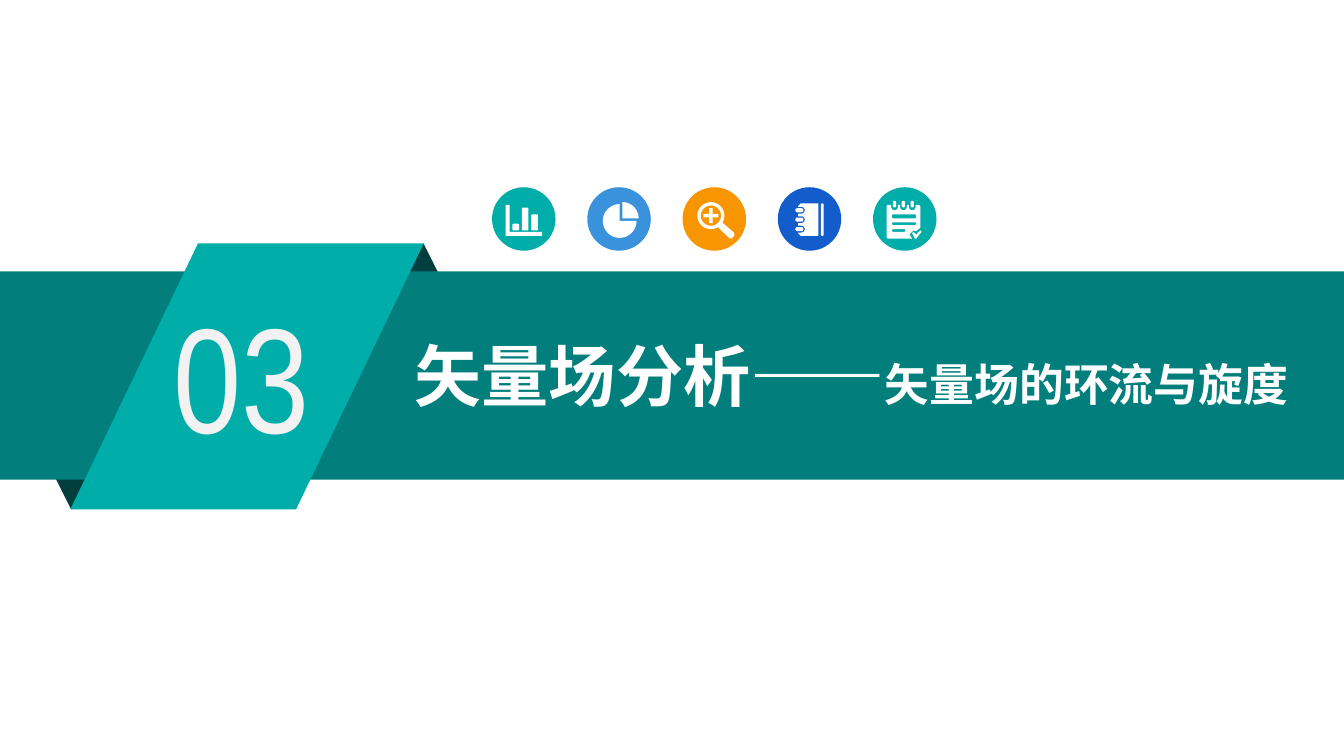
from dataclasses import dataclass
from math import cos, radians, sin

from lxml import etree
from pptx import Presentation
from pptx import util as u
from pptx.dml.color import RGBColor
from pptx.enum import shapes, text
from pptx.oxml.ns import qn

SHAPE = shapes.MSO_SHAPE
GRID = 47  # icon units across one badge


@dataclass(frozen=True)
class Theme:
    band: str = "027F7D"
    ribbon: str = "00ADA9"
    fold: str = "013F3F"
    sky: str = "3992DB"
    orange: str = "F79600"
    blue: str = "125CCB"
    white: str = "FFFFFF"
    pale: str = "F2F2F2"
    number_font: str = "Arial Narrow"
    title_font: str = "Noto Sans CJK SC"
    number_size: int = 80
    title_size: int = 36
    subtitle_size: int = 24


def arc(cx, cy, r, start=0, end=360, steps=32):
    """Points on a circle; angles run clockwise from the right."""
    angles = [radians(start + (end - start) * i / steps) for i in range(steps + 1)]
    return [(cx + r * cos(a), cy + r * sin(a)) for a in angles]


def box(x, y, w, h, r=1):
    """Outline of a rounded rectangle."""
    corners = [(x + r, y + r, 180), (x + w - r, y + r, 270),
               (x + w - r, y + h - r, 0), (x + r, y + h - r, 90)]
    return [p for cx, cy, a in corners for p in arc(cx, cy, r, a, a + 90, 6)]


def bar_chart():
    axes = [(10, 13), (13, 13), (13, 33), (37, 33), (37, 36), (10, 36)]
    return [axes, box(15, 27, 5, 5), box(22, 15, 5, 17), box(29, 20, 5, 12)]


def pie_chart():
    return [[(26, 23)] + arc(26, 23, 12, -90, 0),
            [(24, 25)] + arc(24, 25, 12.5, 0, 270)]


def magnifier():
    c, arm, half = 21, 5.5, 1.3
    plus = [(c - half, c - arm), (c + half, c - arm), (c + half, c - half),
            (c + arm, c - half), (c + arm, c + half), (c + half, c + half),
            (c + half, c + arm), (c - half, c + arm), (c - half, c + half),
            (c - arm, c + half), (c - arm, c - half), (c - half, c - half)]
    handle = [(26.2, 29.5), (28.1, 28.1), (29.5, 26.2), (38, 33.5),
              (38.5, 35.5), (36.5, 38), (34.5, 37.5)]
    return [arc(c, c, 10), arc(c, c, 7.5), plus, handle]


def notebook():
    coils = (31, 24, 17)
    cover = [(15, 14), (17, 12), (30, 12), (30, 36), (17, 36), (15, 34)]
    for y in coils:
        cover += [(15, y + 2.5)] + arc(17.5, y, 2.5, 90, -90) + [(15, y - 2.5)]
    return [cover, box(32, 12, 2, 24)] + [box(13, y - 1.5, 6, 3, 1.5) for y in coils]


def checklist():
    rings = (16, 22.5, 29)
    page = [(10, 14), (11, 13)]
    for x in rings:
        page += [(x - 2.5, 13)] + arc(x, 14.5, 2.5, 180, 0) + [(x + 2.5, 13)]
    page += [(34, 13), (35, 14), (35, 30), (32, 32.5), (30, 32), (27, 35),
             (29, 38), (11, 38), (10, 37)]
    tick = [(29, 34), (30, 33), (32, 35), (35, 32), (36, 33), (32, 38), (31, 38)]
    lines = [box(14, 20, 18, 3), box(14, 26, 18, 2), box(14, 31, 10, 2)]
    return [page, tick] + lines + [box(x - 1.2, 10, 2.4, 5, 1.2) for x in rings]


class SlideBuilder:
    def __init__(self, slide, theme):
        self.slide = slide
        self.theme = theme

    def paint(self, shape, color):
        shape.shadow.inherit = False
        shape.fill.solid()
        shape.fill.fore_color.rgb = RGBColor.from_string(color)
        shape.line.fill.background()
        return shape

    def block(self, kind, color, left, top, width, height):
        shape = self.slide.shapes.add_shape(
            kind, u.Cm(left), u.Cm(top), u.Cm(width), u.Cm(height))
        return self.paint(shape, color)

    def badge(self, color, outlines, left, top, size):
        """A disc with a white icon; inner outlines become holes."""
        self.block(SHAPE.OVAL, color, left, top, size, size)
        unit = u.Cm(size) / GRID
        paths = [[(round(x * unit), round(y * unit)) for x, y in outline]
                 for outline in outlines]
        builder = self.slide.shapes.build_freeform(*paths[0][0])
        for i, points in enumerate(paths):
            if i:
                builder.move_to(*points[0])
            builder.add_line_segments(points[1:], close=True)
        self.paint(builder.convert_to_shape(u.Cm(left), u.Cm(top)), self.theme.white)

    def frame(self, shape, inset):
        words = shape.text_frame
        words.word_wrap = True
        words.auto_size = text.MSO_AUTO_SIZE.NONE
        words.vertical_anchor = text.MSO_ANCHOR.TOP
        words.margin_left = words.margin_right = u.Cm(inset)
        words.margin_top = words.margin_bottom = u.Cm(0.1)
        return words

    def style(self, run, font, size, color, bold=False):
        run.font.name = font
        run.font.size = u.Pt(size)
        run.font.bold = bold
        run.font.color.rgb = RGBColor.from_string(color)
        etree.SubElement(run.font._element, qn("a:ea")).set("typeface", font)

    def number(self, value, left, top, width, height):
        label = self.slide.shapes.add_textbox(
            u.Cm(left), u.Cm(top), u.Cm(width), u.Cm(height))
        words = self.frame(label, 0.18)
        words.text = value
        self.style(words.paragraphs[0].runs[0], self.theme.number_font,
                   self.theme.number_size, self.theme.pale)

    def title(self, chapter, section, left, top, width, height):
        heading = self.slide.shapes.title
        heading.left, heading.top = u.Cm(left), u.Cm(top)
        heading.width, heading.height = u.Cm(width), u.Cm(height)
        heading.element.getparent().append(heading.element)  # in front of the band
        paragraph = self.frame(heading, 0.2).paragraphs[0]
        paragraph.alignment = text.PP_ALIGN.CENTER
        for part, size in ((chapter, self.theme.title_size),
                           (section, self.theme.subtitle_size)):
            run = paragraph.add_run()
            run.text = part
            self.style(run, self.theme.title_font, size, self.theme.white, bold=True)


def main():
    deck = Presentation()
    deck.slide_width, deck.slide_height = u.Cm(25.4), u.Cm(14.29)
    theme = Theme()
    page = SlideBuilder(deck.slides.add_slide(deck.slide_layouts[5]), theme)

    page.block(SHAPE.ISOSCELES_TRIANGLE, theme.fold, 6.86, 4.6, 2.29, 2.3)
    lower_fold = page.block(SHAPE.ISOSCELES_TRIANGLE, theme.fold, 0.2, 7.33, 2.29, 2.3)
    lower_fold.rotation = 180
    page.block(SHAPE.RECTANGLE, theme.band, 0, 5.13, 25.4, 3.94)
    ribbon = page.block(SHAPE.PARALLELOGRAM, theme.ribbon, 1.33, 4.6, 6.68, 5.03)
    ribbon.adjustments[0] = 0.48
    page.number("03", 3.1, 5.28, 3.68, 3.61)
    page.title("矢量场分析——", "矢量场的环流与旋度", 7.29, 6.22, 17.6, 3.28)

    badges = [(theme.ribbon, bar_chart), (theme.sky, pie_chart),
              (theme.orange, magnifier), (theme.blue, notebook),
              (theme.ribbon, checklist)]
    for i, (color, icon) in enumerate(badges):
        page.badge(color, icon(), 9.3 + 1.8 * i, 3.54, 1.2)

    deck.save("out.pptx")


if __name__ == "__main__":
    main()
